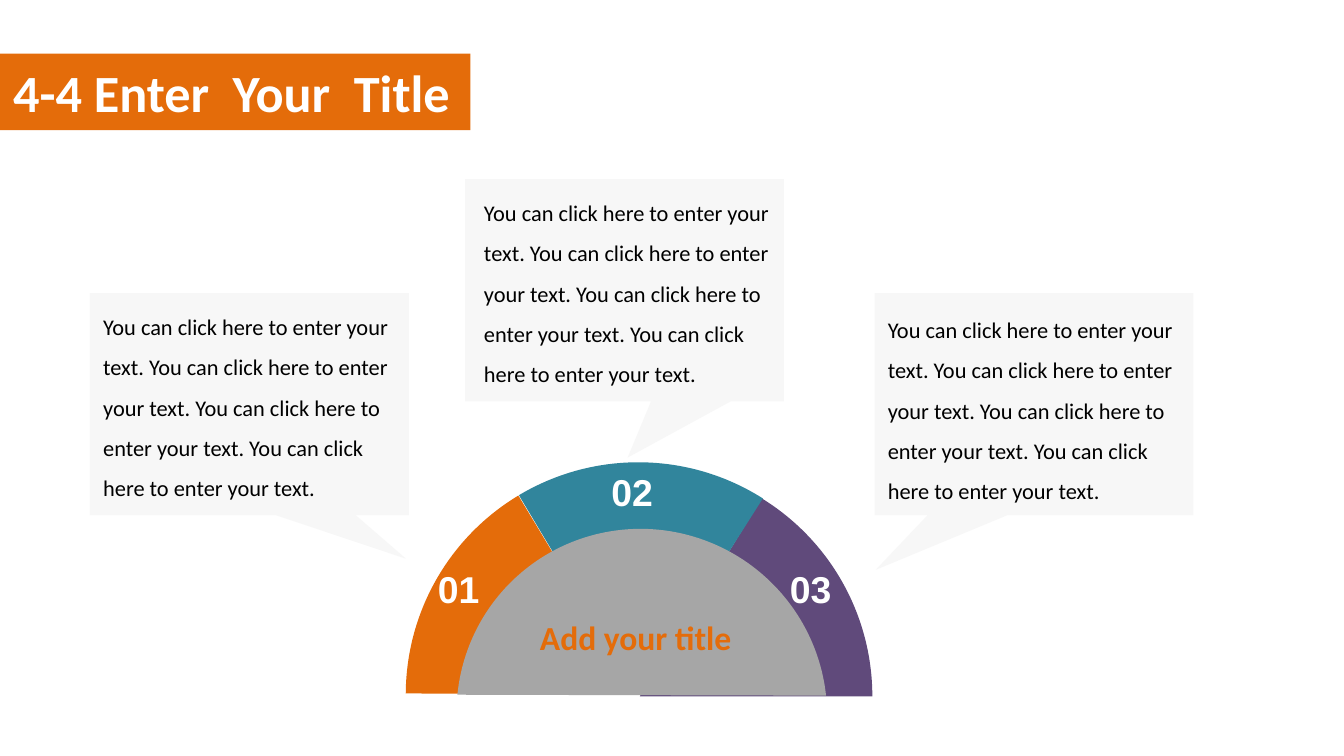
from pptx import Presentation
from pptx.dml.color import RGBColor
from pptx.enum import shapes, text
from pptx.oxml import ns
from pptx.util import Pt
from lxml import etree

ORANGE = RGBColor(0xE4, 0x6C, 0x0A)
TEAL = RGBColor(0x31, 0x85, 0x9C)
PURPLE = RGBColor(0x60, 0x4A, 0x7B)
GREY = RGBColor(0xA6, 0xA6, 0xA6)
PALE = RGBColor(0xF2, 0xF2, 0xF2)
WHITE = RGBColor(0xFF, 0xFF, 0xFF)
BLACK = RGBColor(0, 0, 0)
SHAPE = shapes.MSO_SHAPE
BODY = " ".join(["You can click here to enter your text."] * 4)


def add_shape(slide, kind, box, color, adj=(), turn=0):
    shape = slide.shapes.add_shape(kind, *map(Pt, box))
    shape.shadow.inherit = False
    shape.fill.solid()
    shape.fill.fore_color.rgb = color
    shape.line.fill.background()
    for i, value in enumerate(adj):
        shape.adjustments[i] = value
    shape.rotation = turn
    return shape


def add_sector(slide, kind, box, color, start, end, turn):
    """Angles are in degrees, clockwise, before the turn."""
    # Adjustments count 100000 units; angles count 60000 to a degree.
    return add_shape(slide, kind, box, color, (start * 0.6, end * 0.6), turn)


def add_text(slide, box, words, size, color, font="Calibri", bold=False,
             wrap=True, space=None):
    frame = slide.shapes.add_textbox(*map(Pt, box)).text_frame
    frame.word_wrap = wrap
    frame.auto_size = text.MSO_AUTO_SIZE.SHAPE_TO_FIT_TEXT
    para = frame.paragraphs[0]
    if space:
        para.line_spacing = space
    run = para.add_run()
    run.text = words
    run.font.name = font
    run.font.size = Pt(size)
    run.font.bold = bold
    run.font.color.rgb = color


def add_title(slide, box):
    add_shape(slide, SHAPE.RECTANGLE, box, ORANGE)
    add_text(slide, box, "4-4 Enter  Your  Title", 28, WHITE, bold=True)


def add_callout(slide, box, tip, shift):
    """Tip is the pointer's end; shift moves the text from the corner."""
    left, top, width, height = box
    shape = add_shape(slide, SHAPE.RECTANGULAR_CALLOUT, box, PALE, tip)
    color = shape.fill._xPr.find(".//" + ns.qn("a:srgbClr"))
    etree.SubElement(color, ns.qn("a:alpha"), val="60000")
    add_text(slide, (left + shift[0], top + shift[1], width, height - 2),
             BODY, 12, BLACK, space=1.5)


def add_fan(slide, box):
    left, top, width, height = box
    sectors = [
        (PURPLE, 0.8, 211.64, 270, 90),
        (TEAL, 0, 194.12, 257.4, 45),
        (ORANGE, 0, 198.53, 257.15, 341.8),
    ]
    for color, shift, start, end, turn in sectors:
        add_sector(slide, SHAPE.PIE, (left + shift, top + shift, width, height),
                   color, start, end, turn)
    add_sector(slide, SHAPE.CHORD, (left + 27.4, top + 35.3, 198, 199.4),
               GREY, 45.89, 213.98, 140.2)
    add_text(slide, (left + 64.8, top + 79.2, 131.8, 29), "Add your title",
             18, ORANGE, bold=True)
    places = [(10.1, 51.8), (103, 0), (198.7, 51.8)]
    for i, (x, y) in enumerate(places, 1):
        add_text(slide, (left + x, top + y, 41, 31.5), f"{i:02}", 20, WHITE,
                 font="Arial", bold=True, wrap=False)


def main():
    deck = Presentation()
    deck.slide_width, deck.slide_height = Pt(720), Pt(405)
    slide = deck.slides.add_slide(deck.slide_layouts[6])
    add_title(slide, (0, 28.8, 252, 41))
    callouts = [
        (468.5, 157, (-0.496, 0.746), (0, 1.6)),
        (249.2, 96, (0.01, 0.753), (3, 0)),
        (48.2, 157, (0.491, 0.696), (0, 0)),
    ]
    for left, top, tip, shift in callouts:
        add_callout(slide, (left, top, 170.8, 119), tip, shift)
    add_fan(slide, (217.4, 247.7, 249.1, 249.1))
    deck.save("out.pptx")


if __name__ == "__main__":
    main()
